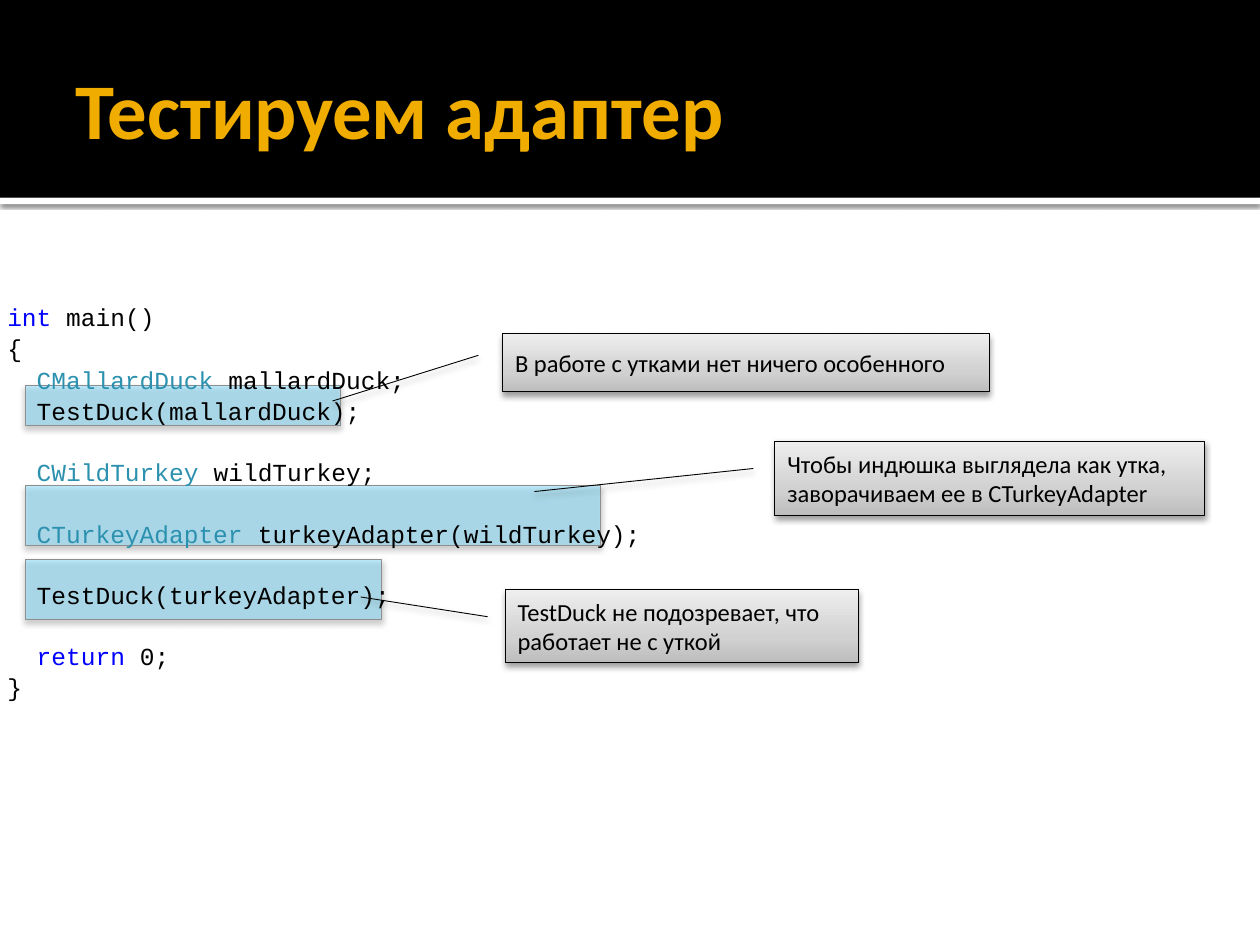
from dataclasses import dataclass

from lxml import etree
from pptx import Presentation
from pptx import util as u
from pptx.dml.color import RGBColor
from pptx.enum import shapes, text
from pptx.oxml import ns

BLACK = RGBColor(0x00, 0x00, 0x00)
WHITE = RGBColor(0xFF, 0xFF, 0xFF)
AMBER = RGBColor(0xF0, 0xAD, 0x00)
SKY = RGBColor(0x85, 0xDF, 0xFF)
EDGE = RGBColor(0x8E, 0x8E, 0x8E)
KEYWORD = RGBColor(0x00, 0x00, 0xFF)
CLASS_NAME = RGBColor(0x2B, 0x91, 0xAF)
SILVER = ((0, RGBColor(0xBD, 0xBD, 0xBD)), (35, RGBColor(0xD1, 0xD1, 0xD1)),
          (100, RGBColor(0xEE, 0xEE, 0xEE)))

WIDTH, HEIGHT = u.Inches(10), u.Inches(7.5)
COLUMNS, ROWS = 100, 75
CODE_SIZE = 14
CODE_LINE = 17
CODE_INDENT = 16.8


@dataclass(frozen=True)
class Area:
    column: float
    row: float
    columns: float
    rows: float

    def place(self) -> tuple[int, int, int, int]:
        across, down = WIDTH / COLUMNS, HEIGHT / ROWS
        return (round(self.column * across), round(self.row * down),
                round(self.columns * across), round(self.rows * down))


@dataclass(frozen=True)
class Shadow:
    opacity: int
    blur: float
    distance: float


@dataclass(frozen=True)
class Callout:
    area: Area
    words: str
    tip_down: float
    tip_across: float


@dataclass(frozen=True)
class CodeLine:
    spans: tuple[tuple[str, RGBColor], ...]
    indented: bool = True
    gap: bool = False


SOFT = Shadow(38, 3.5, 2)
BAND_SHADOW = Shadow(60, 2.5, 0.8)

HIGHLIGHTS = (
    Area(2, 38.5, 45.7, 4.8),
    Area(2, 44.4, 28.3, 4.8),
    Area(2, 30.6, 25, 3.2),
)

CALLOUTS = (
    Callout(Area(61.5, 35, 34.1, 5.9),
            "Чтобы индюшка выглядела как утка, заворачиваем ее в CTurkeyAdapter", 0.68, -0.56),
    Callout(Area(40.1, 46.8, 28, 5.8),
            "TestDuck не подозревает, что работает не с уткой", 0.1, -0.41),
    Callout(Area(39.9, 26.5, 38.6, 4.6),
            "В работе с утками нет ничего особенного", 1.16, -0.35),
)

CODE = (
    CodeLine((("int", KEYWORD), (" main()", BLACK)), indented=False),
    CodeLine((("{", BLACK),), indented=False),
    CodeLine((("CMallardDuck ", CLASS_NAME), ("mallardDuck;", BLACK))),
    CodeLine((("TestDuck(mallardDuck);", BLACK),)),
    CodeLine((("CWildTurkey ", CLASS_NAME), ("wildTurkey;", BLACK)), gap=True),
    CodeLine((("CTurkeyAdapter ", CLASS_NAME), ("turkeyAdapter(wildTurkey);", BLACK)), gap=True),
    CodeLine((("TestDuck(turkeyAdapter);", BLACK),), gap=True),
    CodeLine((("return", KEYWORD), (" 0;", BLACK)), gap=True),
    CodeLine((("}", BLACK),), indented=False),
)


def add_node(parent, tag: str, **values):
    node = etree.SubElement(parent, ns.qn(tag))
    for name, value in values.items():
        node.set(name, str(value))
    return node


def add_shadow(shape, shadow: Shadow) -> None:
    shape.shadow.inherit = False
    effects = shape.element.spPr.find(ns.qn("a:effectLst"))
    outer = add_node(effects, "a:outerShdw", blurRad=u.Pt(shadow.blur),
                     dist=u.Pt(shadow.distance), dir=90 * 60000, rotWithShape=0)
    color = add_node(outer, "a:srgbClr", val=BLACK)
    add_node(color, "a:alpha", val=shadow.opacity * 1000)


def add_panel(page, area: Area, kind=shapes.MSO_SHAPE.RECTANGLE, *,
              fill: RGBColor = WHITE, line: RGBColor | None = None,
              shadow: Shadow | None = None):
    shape = page.shapes.add_shape(kind, *area.place())
    shape.fill.solid()
    shape.fill.fore_color.rgb = fill
    if line is None:
        shape.line.fill.background()
    else:
        shape.line.color.rgb = line
        shape.line.width = u.Pt(0.5)
    if shadow is None:
        shape.shadow.inherit = False
    else:
        add_shadow(shape, shadow)
    return shape


def make_translucent(shape, percent: int) -> None:
    color = shape.element.spPr.find(ns.qn("a:solidFill"))[0]
    add_node(color, "a:alpha", val=percent * 1000)


def fill_gradient(shape, stops) -> None:
    properties = shape.element.spPr
    gradient = etree.Element(ns.qn("a:gradFill"), rotWithShape="1")
    stop_list = add_node(gradient, "a:gsLst")
    for position, color in stops:
        stop = add_node(stop_list, "a:gs", pos=position * 1000)
        add_node(stop, "a:srgbClr", val=color)
    add_node(gradient, "a:lin", ang=270 * 60000, scaled=0)
    properties.replace(properties.find(ns.qn("a:solidFill")), gradient)


def add_span(para, words: str, *, font: str = "Calibri", size: float = 14,
             color: RGBColor = BLACK, bold: bool = False) -> None:
    span = para.add_run()
    span.text = words
    span.font.name = font
    span.font.size = u.Pt(size)
    span.font.color.rgb = color
    span.font.bold = bold


def add_callout(page, callout: Callout) -> None:
    shape = add_panel(page, callout.area, shapes.MSO_SHAPE.LINE_CALLOUT_1,
                      line=BLACK, shadow=SOFT)
    fill_gradient(shape, SILVER)
    for index, value in enumerate((0.37, -0.05, callout.tip_down, callout.tip_across)):
        shape.adjustments[index] = value
    frame = shape.text_frame
    frame.word_wrap = True
    frame.vertical_anchor = text.MSO_ANCHOR.MIDDLE
    para = frame.paragraphs[0]
    para.alignment = text.PP_ALIGN.LEFT
    add_span(para, callout.words)


def add_title(page, area: Area, words: str) -> None:
    frame = page.shapes.add_textbox(*area.place()).text_frame
    frame.word_wrap = True
    frame.vertical_anchor = text.MSO_ANCHOR.MIDDLE
    frame.margin_right = u.Inches(0.05)
    add_span(frame.paragraphs[0], words, size=45, color=AMBER, bold=True)


def add_code(page, area: Area, lines: tuple[CodeLine, ...]) -> None:
    frame = page.shapes.add_textbox(*area.place()).text_frame
    frame.word_wrap = True
    for index, line in enumerate(lines):
        para = frame.add_paragraph() if index else frame.paragraphs[0]
        para.line_spacing = 1.07
        para.space_before = u.Pt(CODE_LINE if line.gap else 0)
        if line.indented:
            para._p.get_or_add_pPr().set("marL", str(u.Pt(CODE_INDENT)))
        for words, color in line.spans:
            add_span(para, words, font="Courier New", size=CODE_SIZE, color=color)


def main() -> None:
    deck = Presentation()
    deck.slide_width, deck.slide_height = WIDTH, HEIGHT
    page = deck.slides.add_slide(deck.slide_layouts[6])
    add_panel(page, Area(0, 15.7, COLUMNS, 0.5), shadow=BAND_SHADOW)
    add_panel(page, Area(0, 0, COLUMNS, 15.7), fill=BLACK)
    for area in HIGHLIGHTS:
        make_translucent(add_panel(page, area, fill=SKY, line=EDGE, shadow=SOFT), 50)
    add_title(page, Area(5, 1.7, 90, 13.7), "Тестируем адаптер")
    add_code(page, Area(-0.4, 23.3, 62, 31.6), CODE)
    for callout in CALLOUTS:
        add_callout(page, callout)
    deck.save("out.pptx")


if __name__ == "__main__":
    main()
